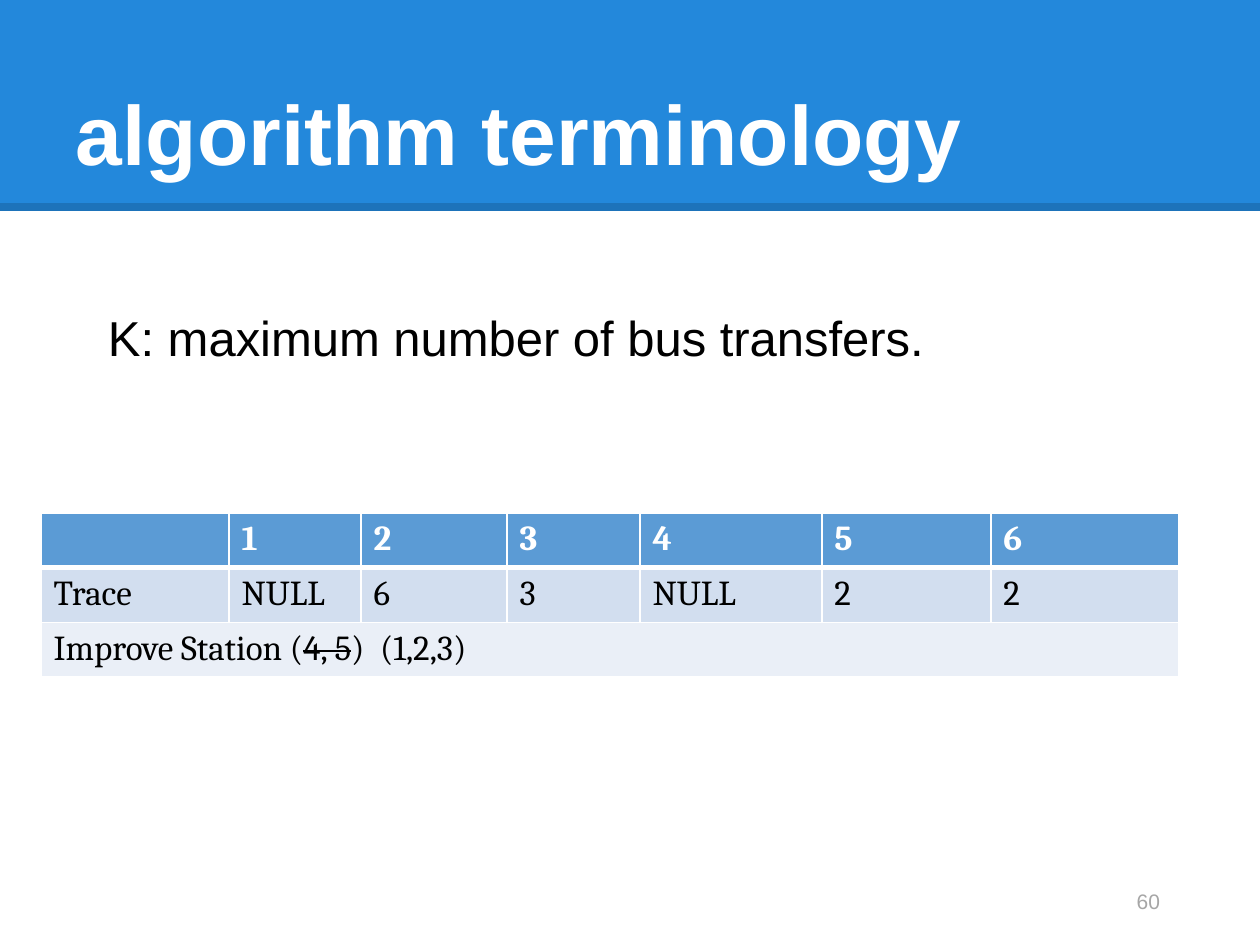
from dataclasses import dataclass

from lxml import etree
from pptx import Presentation
from pptx.dml.color import RGBColor
from pptx.enum.shapes import MSO_CONNECTOR, MSO_SHAPE
from pptx.enum.text import MSO_ANCHOR, PP_ALIGN
from pptx.oxml.ns import qn
from pptx.util import Pt

RECTANGLE, STRAIGHT = MSO_SHAPE.RECTANGLE, MSO_CONNECTOR.STRAIGHT
TOP, MIDDLE, BOTTOM = MSO_ANCHOR.TOP, MSO_ANCHOR.MIDDLE, MSO_ANCHOR.BOTTOM
LEFT, RIGHT = PP_ALIGN.LEFT, PP_ALIGN.RIGHT
EMU_PER_PX = 914400 / 126


@dataclass(frozen=True)
class Theme:
    sans: str = "Arial"
    serif: str = "Cambria"
    banner: str = "2388DB"
    header: str = "5B9BD5"
    band_dark: str = "D2DEEF"
    band_light: str = "EAEFF7"
    white: str = "FFFFFF"
    black: str = "000000"
    gray: str = "A6A6A6"
    title_size: int = 48
    body_size: int = 28
    table_size: int = 20
    number_size: int = 12


theme = Theme()


def px(length):
    return round(length * EMU_PER_PX)


def add_run(paragraph, text, font_name, size, color, bold=False):
    run = paragraph.add_run()
    run.text = text
    run.font.name = font_name
    run.font.size = Pt(size)
    run.font.bold = bold
    run.font.color.rgb = RGBColor.from_string(color)
    return run


presentation = Presentation()
presentation.slide_width = px(1260)
presentation.slide_height = px(945)
slide = presentation.slides.add_slide(presentation.slide_layouts[6])

# Banner with a translucent dark edge
banner = slide.shapes.add_shape(RECTANGLE, 0, 0, px(1260), px(211))
banner.shadow.inherit = False
banner.fill.solid()
banner.fill.fore_color.rgb = RGBColor.from_string(theme.banner)
banner.line.fill.background()

edge = slide.shapes.add_connector(STRAIGHT, 0, px(207), px(1260), px(207))
edge.line.width = Pt(4.5)
edge.line.color.rgb = RGBColor.from_string(theme.black)
edge_properties = edge._element.spPr
edge_color = edge_properties.find(".//" + qn("a:srgbClr"))
etree.SubElement(edge_color, qn("a:alpha"), val="15000")
etree.SubElement(edge_properties, qn("a:effectLst"))

# Title, definition and slide number
text_boxes = [
    ("algorithm terminology", (63, 38, 1134, 157), 13, BOTTOM, LEFT,
     theme.title_size, theme.white, True),
    ("K: maximum number of bus transfers.", (95, 301, 852, 72), 6, TOP, LEFT,
     theme.body_size, theme.black, False),
    ("60", (890, 876, 283, 50), 13, MIDDLE, RIGHT,
     theme.number_size, theme.gray, False),
]
for text, place, inset, anchor, alignment, size, color, bold in text_boxes:
    box = slide.shapes.add_textbox(*map(px, place))
    frame = box.text_frame
    frame.word_wrap = True
    frame.vertical_anchor = anchor
    frame.margin_left = frame.margin_right = px(13)
    frame.margin_top = frame.margin_bottom = px(inset)
    paragraph = frame.paragraphs[0]
    paragraph.alignment = alignment
    add_run(paragraph, text, theme.sans, size, color, bold)

# Trace table: each cell is a list of (text, struck through) runs
column_widths = [188, 132, 146, 133, 182, 169, 188]
row_height = 54
header_row = [[]] + [[(str(station), False)] for station in range(1, 7)]
trace_row = [[(text, False)] for text in ("Trace", "NULL", "6", "3", "NULL", "2", "2")]
improve_row = [[("Improve Station (", False), ("4, 5", True), (")  (1,2,3)", False)]]
improve_row += [[]] * 6

# Contents, fill, text colour, bold, top and bottom border widths
table_rows = [
    (header_row, theme.header, theme.white, True, 1, 3),
    (trace_row, theme.band_dark, theme.black, False, 3, 1),
    (improve_row, theme.band_light, theme.black, False, 1, 1),
]
table = slide.shapes.add_table(
    len(table_rows), len(column_widths), px(41), px(513),
    px(sum(column_widths)), px(row_height * len(table_rows))).table
for column, width in zip(table.columns, column_widths):
    column.width = px(width)
table.cell(2, 0).merge(table.cell(2, 6))

for row, (contents, fill, color, bold, top, bottom) in zip(table.rows, table_rows):
    row.height = px(row_height)
    for cell, runs in zip(row.cells, contents):
        cell_properties = cell._tc.get_or_add_tcPr()
        for side, width in (("L", 1), ("R", 1), ("T", top), ("B", bottom)):
            border = etree.SubElement(cell_properties, qn("a:ln" + side), w=str(Pt(width)))
            border_fill = etree.SubElement(border, qn("a:solidFill"))
            etree.SubElement(border_fill, qn("a:srgbClr"), val=theme.white)
        cell.fill.solid()
        cell.fill.fore_color.rgb = RGBColor.from_string(fill)
        for text, struck in runs:
            run = add_run(cell.text_frame.paragraphs[0], text, theme.serif,
                          theme.table_size, color, bold)
            if struck:
                run.font._element.set("strike", "sngStrike")

presentation.save("out.pptx")
